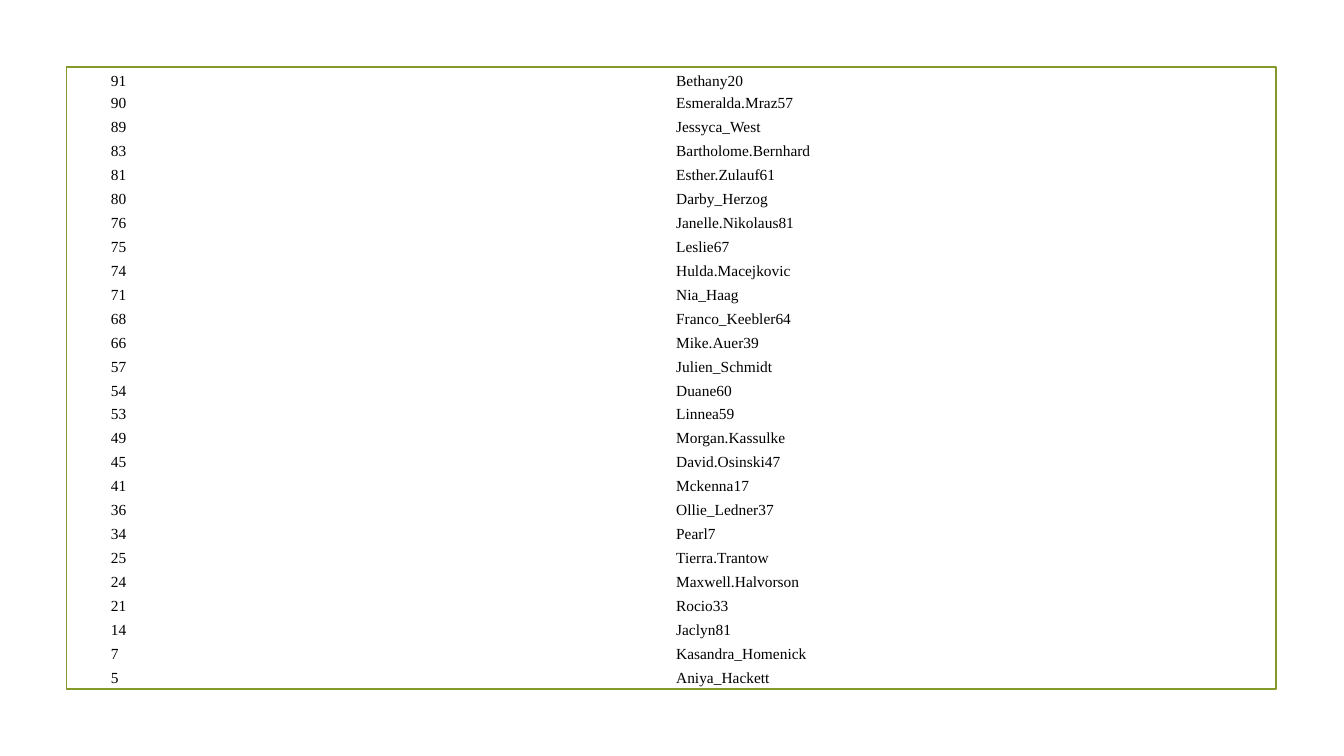
import dataclasses

import pptx
import pptx.dml.color
import pptx.enum.shapes
import pptx.enum.text
import pptx.slide
import pptx.util

Pt = pptx.util.Pt
RGB = pptx.dml.color.RGBColor


@dataclasses.dataclass(frozen=True)
class Theme:
    font: str = "Times New Roman"
    size: float = 11
    ink: RGB = RGB(0x00, 0x00, 0x00)
    green: RGB = RGB(0x83, 0x99, 0x2A)
    line: float = 1.25
    plain: str = "{2D5ABB26-0587-4C30-8999-92F81FD0307C}"


@dataclasses.dataclass(frozen=True)
class Box:
    left: float
    top: float
    width: float
    height: float


@dataclasses.dataclass(frozen=True)
class User:
    score: int
    name: str


THEME = Theme()
FRAME = Box(47.6, 48, 864, 444.4)
FIRST, PITCH = 13.7, 17.1
USERS = [
    User(91, "Bethany20"),
    User(90, "Esmeralda.Mraz57"),
    User(89, "Jessyca_West"),
    User(83, "Bartholome.Bernhard"),
    User(81, "Esther.Zulauf61"),
    User(80, "Darby_Herzog"),
    User(76, "Janelle.Nikolaus81"),
    User(75, "Leslie67"),
    User(74, "Hulda.Macejkovic"),
    User(71, "Nia_Haag"),
    User(68, "Franco_Keebler64"),
    User(66, "Mike.Auer39"),
    User(57, "Julien_Schmidt"),
    User(54, "Duane60"),
    User(53, "Linnea59"),
    User(49, "Morgan.Kassulke"),
    User(45, "David.Osinski47"),
    User(41, "Mckenna17"),
    User(36, "Ollie_Ledner37"),
    User(34, "Pearl7"),
    User(25, "Tierra.Trantow"),
    User(24, "Maxwell.Halvorson"),
    User(21, "Rocio33"),
    User(14, "Jaclyn81"),
    User(7, "Kasandra_Homenick"),
    User(5, "Aniya_Hackett"),
]
GRID = Box(76.4, 50.4, 807.4, FIRST + PITCH * (len(USERS) - 1))


def draw_frame(slide: pptx.slide.Slide, box: Box) -> None:
    frame = slide.shapes.add_shape(
        pptx.enum.shapes.MSO_SHAPE.RECTANGLE,
        Pt(box.left), Pt(box.top), Pt(box.width), Pt(box.height),
    )
    frame.shadow.inherit = False
    frame.fill.background()
    frame.line.color.rgb = THEME.green
    frame.line.width = Pt(THEME.line)


def fill_cell(cell, text: str) -> None:
    cell.fill.background()
    cell.vertical_anchor = pptx.enum.text.MSO_ANCHOR.MIDDLE
    cell.margin_left = cell.margin_right = Pt(2.9)
    cell.margin_top = cell.margin_bottom = Pt(1.44)
    run = cell.text_frame.paragraphs[0].add_run()
    run.text = text
    run.font.name = THEME.font
    run.font.size = Pt(THEME.size)
    run.font.color.rgb = THEME.ink


def draw_table(slide: pptx.slide.Slide, box: Box, users: list[User]) -> None:
    shape = slide.shapes.add_table(
        len(users), 2, Pt(box.left), Pt(box.top), Pt(box.width), Pt(box.height)
    )
    table = shape.table
    table.first_row = table.horz_banding = False
    shape.element.xpath(".//a:tableStyleId")[0].text = THEME.plain
    for index, user in enumerate(users):
        table.rows[index].height = Pt(PITCH if index else FIRST)
        fill_cell(table.cell(index, 0), str(user.score))
        fill_cell(table.cell(index, 1), user.name)


def main() -> None:
    deck = pptx.Presentation()
    deck.slide_width, deck.slide_height = Pt(960), Pt(540)
    slide = deck.slides.add_slide(deck.slide_layouts.get_by_name("Blank"))
    draw_frame(slide, FRAME)
    draw_table(slide, GRID, USERS)
    deck.save("out.pptx")


if __name__ == "__main__":
    main()
